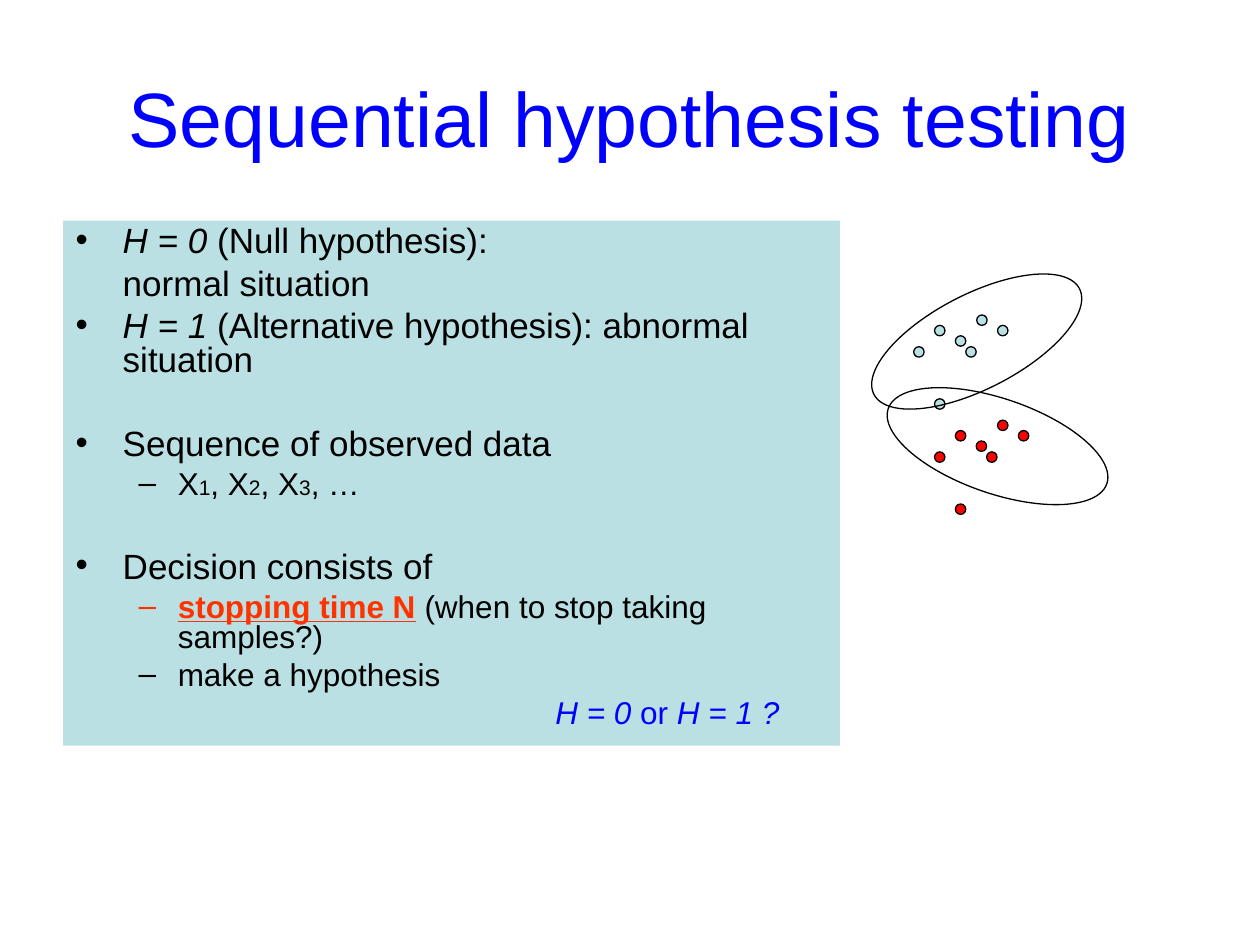
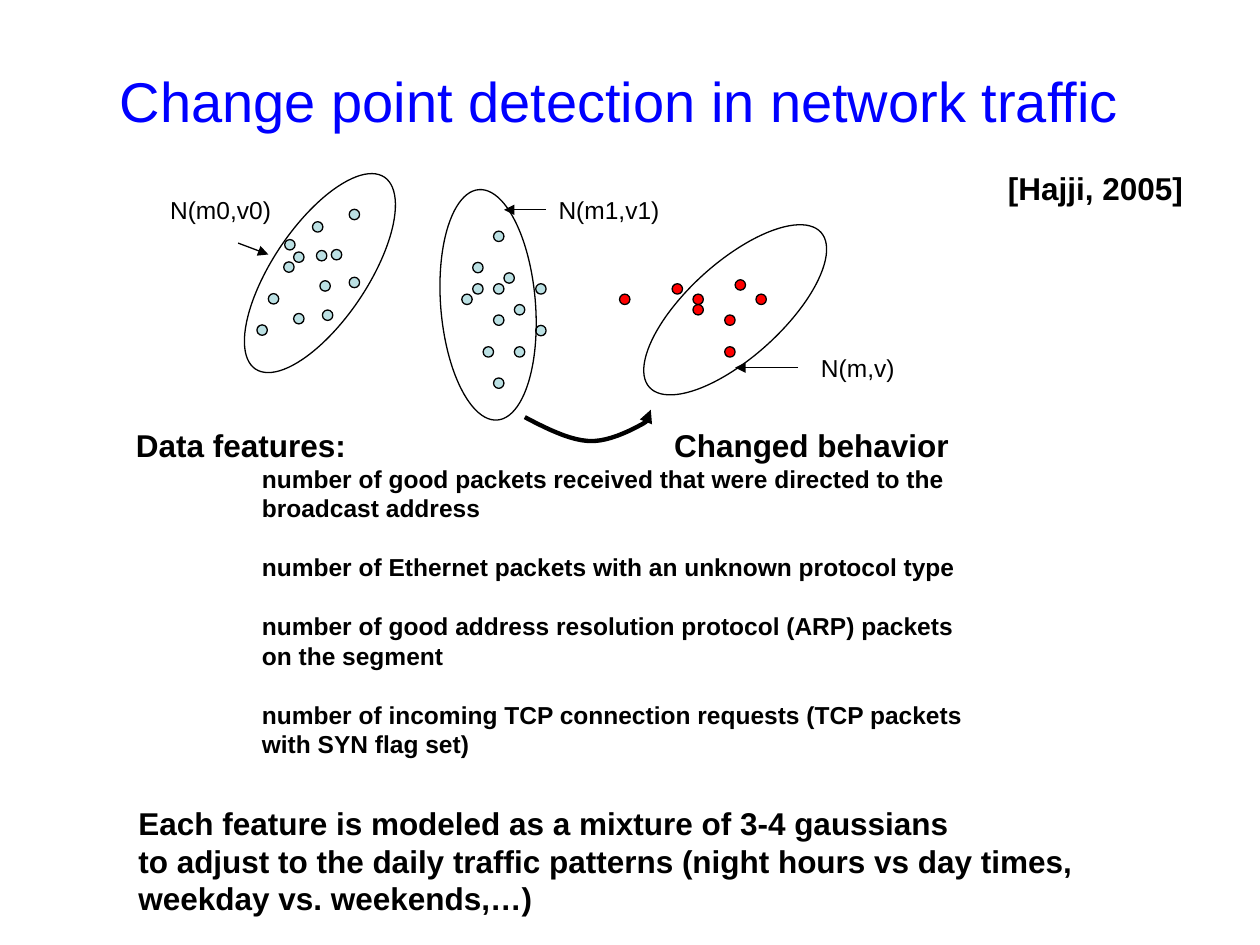
from dataclasses import dataclass
from typing import Optional

from lxml import etree
from pptx import Presentation
from pptx.dml.color import RGBColor
from pptx.enum.shapes import MSO_CONNECTOR, MSO_SHAPE
from pptx.enum.text import MSO_ANCHOR, MSO_AUTO_SIZE, PP_ALIGN
from pptx.oxml.ns import qn
from pptx.util import Cm, Pt

OVAL = MSO_SHAPE.OVAL
STRAIGHT = MSO_CONNECTOR.STRAIGHT
MIDDLE, TOP = MSO_ANCHOR.MIDDLE, MSO_ANCHOR.TOP
CENTER, LEFT = PP_ALIGN.CENTER, PP_ALIGN.LEFT
FIT_SHAPE, NO_FIT = MSO_AUTO_SIZE.SHAPE_TO_FIT_TEXT, MSO_AUTO_SIZE.NONE

# Shared look
FONT = "Arial"
BLACK, BLUE, RED, ORANGE, PALE = "000000", "0000FF", "FF0000", "FF3300", "BBE0E3"
DOT = 0.21
OVAL_W, OVAL_H = 4.66, 1.91
THIN = 0.75
INDENTS = ((0.95, -0.95), (2.06, -0.79))  # left margin and hang per level, cm
BULLETS = ("•", "–")

Point = tuple[float, float]
Box = tuple[float, float, float, float]


@dataclass
class Span:
    text: str
    size: float = 20
    color: str = BLACK
    bold: bool = False
    italic: bool = False
    underline: bool = False


@dataclass
class Item:
    spans: list[Span]
    level: int = 0
    before: float = 5
    bulleted: bool = True
    margin: Optional[float] = None


@dataclass
class Line:
    text: str
    size: float = 18
    bold: bool = True
    margin: float = 0
    before: float = 0


@dataclass
class Cluster:
    dots: list[Point]
    color: str
    oval: Point
    angle: float
    label: str = ""
    label_box: Box = (0, 0, 0, 0)
    arrow: tuple[Point, Point] = ((0, 0), (0, 0))
    grouped: bool = False


def rgb(color: str) -> RGBColor:
    return RGBColor.from_string(color)


def set_font(r, size: float, color: str = BLACK, bold: bool = False) -> None:
    r.font.name, r.font.size, r.font.bold = FONT, Pt(size), bold
    r.font.color.rgb = rgb(color)


def place(sp, box: Box) -> None:
    sp.left, sp.top, sp.width, sp.height = map(Cm, box)


def set_line(sp, width: float = THIN, arrow: bool = False) -> None:
    sp.line.color.rgb = rgb(BLACK)
    sp.line.width = Pt(width)
    if arrow:
        ln = sp.element.spPr.find(qn("a:ln"))
        etree.SubElement(ln, qn("a:tailEnd"), type="triangle")


def add_title(slide, text: str, left: float, top: float, size: float) -> None:
    sp = slide.shapes.title
    place(sp, (left, top, 22.86, 3.18))
    tf = sp.text_frame
    tf.text = text
    tf.vertical_anchor, tf.auto_size = MIDDLE, NO_FIT
    p = tf.paragraphs[0]
    p.alignment = CENTER
    set_font(p.runs[0], size, BLUE)


def set_bullet(p, item: Item) -> None:
    margin, hang = INDENTS[item.level]
    if item.margin is not None:
        margin = item.margin
    pPr = p._p.get_or_add_pPr()
    pPr.set("marL", str(Cm(margin)))
    pPr.set("indent", str(Cm(hang) if item.bulleted else 0))
    if item.bulleted:
        clr = etree.SubElement(pPr, qn("a:buClr"))
        etree.SubElement(clr, qn("a:srgbClr"), val=item.spans[0].color)
        etree.SubElement(pPr, qn("a:buFont"), typeface=FONT)
        etree.SubElement(pPr, qn("a:buChar"), char=BULLETS[item.level])
    else:
        etree.SubElement(pPr, qn("a:buNone"))


def fill_list(sp, items: list[Item]) -> None:
    tf = sp.text_frame
    tf.word_wrap, tf.auto_size, tf.vertical_anchor = True, NO_FIT, TOP
    for i, item in enumerate(items):
        p = tf.add_paragraph() if i else tf.paragraphs[0]
        set_bullet(p, item)
        p.level, p.alignment, p.line_spacing = item.level, LEFT, 0.8
        p.space_before = Pt(item.before if i else 0)
        for span in item.spans:
            r = p.add_run()
            r.text = span.text
            set_font(r, span.size, span.color, span.bold)
            r.font.italic, r.font.underline = span.italic, span.underline


def add_text(shapes, box: Box, lines: list[Line]) -> None:
    tf = shapes.add_textbox(*map(Cm, box)).text_frame
    tf.word_wrap, tf.auto_size = False, FIT_SHAPE
    for i, line in enumerate(lines):
        p = tf.add_paragraph() if i else tf.paragraphs[0]
        p.text = line.text
        p._p.get_or_add_pPr().set("marL", str(Cm(line.margin)))
        p.space_before = Pt(line.before)
        for r in p.runs:
            set_font(r, line.size, BLACK, line.bold)


def add_oval(shapes, box: Box, color: str = "", angle: float = 0) -> None:
    sp = shapes.add_shape(OVAL, *map(Cm, box))
    sp.shadow.inherit = False
    sp.rotation = angle
    if color:
        sp.fill.solid()
        sp.fill.fore_color.rgb = rgb(color)
    else:
        sp.fill.background()
    set_line(sp)


def add_arrow(shapes, start: Point, end: Point) -> None:
    sp = shapes.add_connector(STRAIGHT, *map(Cm, start + end))
    set_line(sp, arrow=True)
    etree.SubElement(sp.element.spPr, qn("a:effectLst"))


def add_cluster(slide, c: Cluster) -> None:
    shapes = slide.shapes.add_group_shape().shapes if c.grouped else slide.shapes
    for x, y in c.dots:
        add_oval(shapes, (x, y, DOT, DOT), c.color)
    add_oval(shapes, (*c.oval, OVAL_W, OVAL_H), angle=c.angle)
    if c.label:
        add_arrow(shapes, *c.arrow)
        add_text(shapes, c.label_box, [Line(c.label, 14, False)])


def bezier(pts: tuple[Point, ...], t: float) -> Point:
    weights = ((1 - t) ** 3, 3 * t * (1 - t) ** 2, 3 * t * t * (1 - t), t ** 3)
    x, y = (sum(w * pt[axis] for w, pt in zip(weights, pts)) for axis in (0, 1))
    return Cm(x), Cm(y)


def add_curved_arrow(slide, knots: list[Point], steps: int = 10) -> None:
    points = [bezier(tuple(knots[i:i + 4]), n / steps)
              for i in range(0, len(knots) - 1, 3) for n in range(1, steps + 1)]
    builder = slide.shapes.build_freeform(*map(Cm, knots[0]))
    builder.add_line_segments(points, close=False)
    sp = builder.convert_to_shape()
    sp.shadow.inherit = False
    sp.fill.background()
    set_line(sp, 2.5, arrow=True)


# Slide 1 content
def sub(*spans: Span, **options) -> Item:
    return Item(list(spans), level=1, before=4.5, **options)


GAP = 29  # space before a new block of the list, pt
SAMPLES = [Span(t, 12 if t.isdigit() else 18)
           for t in ("X", "1", ", X", "2", ", X", "3", ", …")]
HYPOTHESES = [
    Item([Span("H = 0", italic=True), Span(" (Null hypothesis):")]),
    Item([Span("normal situation")], bulleted=False),
    Item([Span("H = 1", italic=True),
          Span(" (Alternative hypothesis): abnormal situation")]),
    Item([Span("Sequence of observed data")], before=GAP),
    sub(*SAMPLES),
    Item([Span("Decision consists of")], before=GAP),
    sub(Span("stopping time N", 18, ORANGE, bold=True, underline=True),
        Span(" (when to stop taking samples?)", 18)),
    sub(Span("make a hypothesis", 18)),
    sub(Span("H = 0", 18, BLUE, italic=True), Span(" or ", 18, BLUE),
        Span("H = 1 ?", 18, BLUE, italic=True), bulleted=False, margin=9.67),
]
NORMAL_DOTS = [(18.42, 6.99), (18.84, 6.56), (19.47, 6.99), (20.11, 6.56),
               (18.84, 8.04), (19.26, 6.77), (19.69, 6.35)]
ABNORMAL_DOTS = [(x + 0.42, y + 2.12) for x, y in NORMAL_DOTS]
HYPOTHESIS_CLUSTERS = [
    Cluster(NORMAL_DOTS, PALE, (17.36, 5.93), 332.8),
    Cluster(ABNORMAL_DOTS, RED, (17.78, 8.04), 19),
]

# Slide 2 content
TRAFFIC_CLUSTERS = [
    Cluster([(13.55, 5.72), (13.97, 5.93), (14.61, 6.35), (15.24, 5.93),
             (14.61, 6.99), (13.97, 6.14), (14.82, 5.64), (12.49, 5.93)],
            RED, (12.49, 5.29), 137.9, "N(m,v)", (16.3, 6.99, 2.1, 0.86),
            ((16.09, 7.41), (14.82, 7.41)), True),
    Cluster([(9.53, 5.29), (9.95, 5.72), (10.37, 6.14), (10.8, 6.56), (10.16, 5.5),
             (10.37, 6.99), (9.74, 6.99), (9.31, 5.93), (9.95, 6.35), (9.95, 4.66),
             (9.53, 5.72), (9.95, 7.62), (10.8, 5.72)],
            PALE, (7.51, 5.19), 265.4, "N(m1,v1)", (11.01, 3.81, 2.6, 0.86),
            ((11.01, 4.23), (10.16, 4.23)), True),
    Cluster([(6.3, 4.47), (6.38, 5.05), (6.45, 5.66), (6.5, 6.25), (6.68, 5.03),
             (5.92, 6.32), (5.41, 5.92), (5.74, 4.83), (5.92, 5.08), (7.04, 4.22),
             (5.72, 5.28), (5.18, 6.55), (7.04, 5.59)],
            PALE, (4.12, 4.55), 303.9, "N(m0,v0)", (3.18, 3.81, 2.54, 0.86),
            ((4.8, 4.9), (5.41, 5.13))),
]
CHANGE_CURVE = [(10.58, 8.41), (11.02, 8.64), (11.46, 8.86), (11.85, 8.89),
                (12.25, 8.92), (12.7, 8.68), (12.91, 8.57),
                (13.12, 8.47), (13.12, 8.36), (13.12, 8.26)]
FEATURES = [
    "number of good packets received that were directed to the\vbroadcast address",
    "number of Ethernet packets with an unknown protocol type",
    "number of good address resolution protocol (ARP) packets\von the segment",
    "number of incoming TCP connection requests (TCP packets\vwith SYN flag set)",
]
FEATURE_LINES = [Line("Data features:")] + [
    Line(text, 14, margin=2.54, before=17 if i else 0)
    for i, text in enumerate(FEATURES)]
MODEL_LINES = [
    Line("Each feature is modeled as a mixture of 3-4 gaussians"),
    Line("to adjust to the daily traffic patterns (night hours vs day times,"),
    Line("weekday vs. weekends,…)"),
]


def hypothesis_slide(prs) -> None:
    slide = prs.slides.add_slide(prs.slide_layouts[1])
    add_title(slide, "Sequential hypothesis testing", 1.27, 0.76, 44)
    body = slide.placeholders[1]
    place(body, (1.27, 4.45, 15.66, 10.58))
    body.fill.solid()
    body.fill.fore_color.rgb = rgb(PALE)
    fill_list(body, HYPOTHESES)
    for cluster in HYPOTHESIS_CLUSTERS:
        add_cluster(slide, cluster)


def traffic_slide(prs) -> None:
    slide = prs.slides.add_slide(prs.slide_layouts[5])
    add_title(slide, "Change point detection in network traffic", 1.06, 0.42, 32)
    add_text(slide.shapes, (2.49, 8.46, 17.2, 7.54), FEATURE_LINES)
    add_text(slide.shapes, (20.07, 3.28, 4.04, 1.02), [Line("[Hajji, 2005]")])
    for cluster in TRAFFIC_CLUSTERS:
        add_cluster(slide, cluster)
    add_curved_arrow(slide, CHANGE_CURVE)
    add_text(slide.shapes, (13.34, 8.46, 6.05, 1.02), [Line("Changed behavior")])
    add_text(slide.shapes, (2.54, 16.08, 19.35, 2.54), MODEL_LINES)


def main() -> None:
    prs = Presentation()
    prs.slide_width, prs.slide_height = Cm(25.4), Cm(19.05)
    hypothesis_slide(prs)
    traffic_slide(prs)
    prs.save("out.pptx")


if __name__ == "__main__":
    main()
